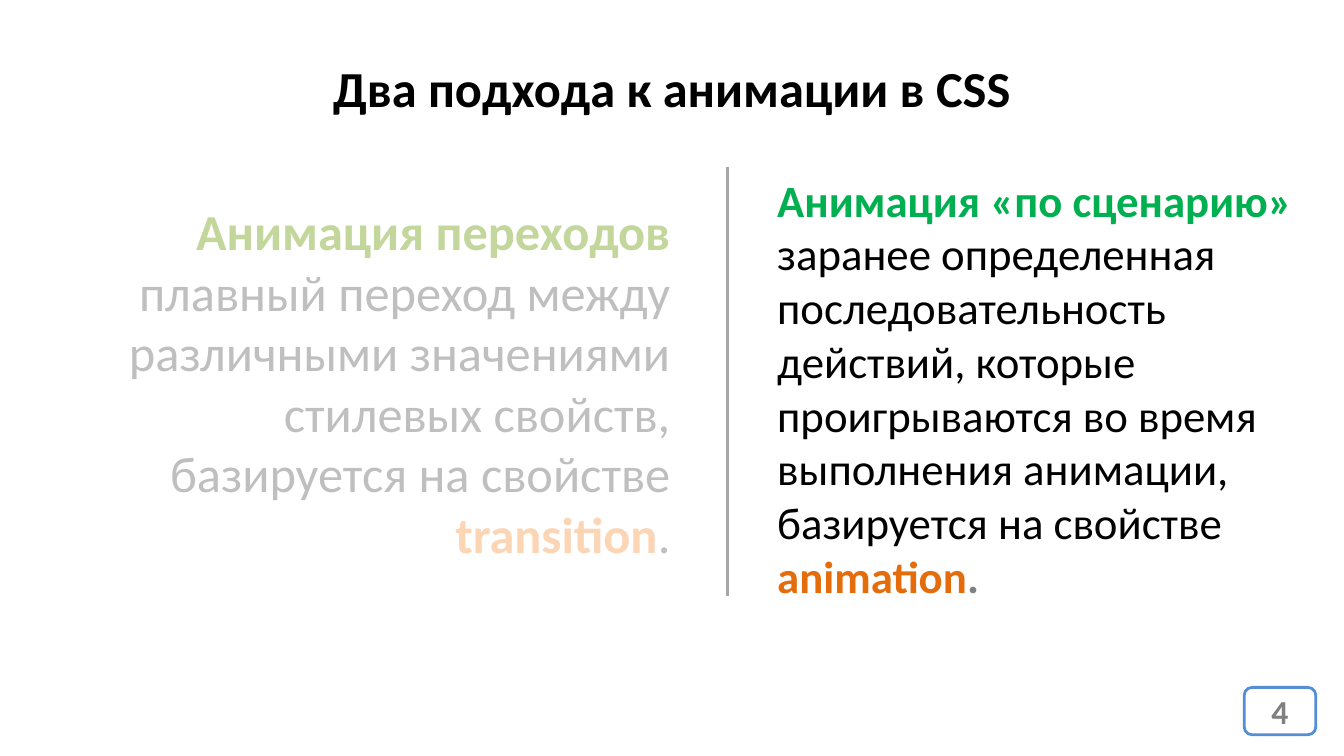
"""Build a slide that compares two approaches to CSS animation."""
from dataclasses import dataclass

from lxml import etree
from pptx import Presentation
from pptx.dml.color import RGBColor
from pptx.enum.shapes import MSO_CONNECTOR, MSO_SHAPE
from pptx.enum.text import MSO_ANCHOR, MSO_AUTO_SIZE, PP_ALIGN
from pptx.oxml.ns import qn
from pptx.util import Inches, Pt

STRAIGHT = MSO_CONNECTOR.STRAIGHT
ROUNDED = MSO_SHAPE.ROUNDED_RECTANGLE
MIDDLE = MSO_ANCHOR.MIDDLE
GROW = MSO_AUTO_SIZE.SHAPE_TO_FIT_TEXT
LEFT, CENTER, RIGHT = PP_ALIGN.LEFT, PP_ALIGN.CENTER, PP_ALIGN.RIGHT
WIDTH, HEIGHT = Inches(13.33), Inches(7.5)


@dataclass(frozen=True)
class Theme:
    """Hold the colours and type sizes of the slide."""
    font: str = "Calibri"
    paper: str = "FFFFFF"
    ink: str = "000000"
    gray: str = "808080"
    green: str = "00B050"
    orange: str = "E46C0A"
    faded_ink: str = "BFBFBF"
    faded_green: str = "C3D69B"
    faded_orange: str = "FCD5B5"
    divider: str = "A6A6A6"
    badge_border: str = "558ED5"
    large: int = 36
    medium: int = 32
    small: int = 24


THEME = Theme()


def across(percent):
    """Turn a percentage of the slide's width into a length."""
    return round(WIDTH * percent / 100)


def down(percent):
    """Turn a percentage of the slide's height into a length."""
    return round(HEIGHT * percent / 100)


def place(left, top, width, height):
    """Turn percentages of the slide into a position and a size."""
    return across(left), down(top), across(width), down(height)


def write(frame, runs, size, align):
    """Write one paragraph of (text, colour, bold) runs."""
    paragraph = frame.paragraphs[0]
    paragraph.alignment = align
    for text, color, bold in runs:
        run = paragraph.add_run()
        run.text = text
        run.font.color.rgb = RGBColor.from_string(color)
        formats = {"name": THEME.font, "size": Pt(size), "bold": bold}
        for name, value in formats.items():
            setattr(run.font, name, value)


def add_text(slide, area, runs, size, align):
    """Add a wrapping text box that grows with its text."""
    frame = slide.shapes.add_textbox(*place(*area)).text_frame
    for name, value in {"word_wrap": True, "auto_size": GROW}.items():
        setattr(frame, name, value)
    write(frame, runs, size, align)


def add_badge(slide, area, number):
    """Add the rounded page number badge."""
    badge = slide.shapes.add_shape(ROUNDED, *place(*area))
    badge.shadow.inherit = False
    badge.fill.solid()
    badge.fill.fore_color.rgb = RGBColor.from_string(THEME.paper)
    badge.line.color.rgb = RGBColor.from_string(THEME.badge_border)
    badge.line.width = Pt(2)
    badge.text_frame.vertical_anchor = MIDDLE
    write(badge.text_frame, [(number, THEME.gray, True)], THEME.small, CENTER)


def add_divider(slide, left, top, bottom):
    """Add the vertical line between the two approaches."""
    divider = slide.shapes.add_connector(
        STRAIGHT, across(left), down(top), across(left), down(bottom))
    divider.line.color.rgb = RGBColor.from_string(THEME.divider)
    divider.line.width = Pt(2.25)
    etree.SubElement(divider._element.spPr, qn("a:effectLst"))


def main():
    """Build and save the slide."""
    deck = Presentation()
    deck.slide_width, deck.slide_height = WIDTH, HEIGHT
    slide = deck.slides.add_slide(deck.slide_layouts[6])

    title = [("Два подхода к анимации в CSS", THEME.ink, True)]
    scripted = [
        ("Анимация «по сценарию» ", THEME.green, True),
        ("заранее определенная последовательность действий, которые "
         "проигрываются во время выполнения анимации, базируется на "
         "свойстве ", THEME.ink, False),
        ("animation", THEME.orange, True),
        (".", THEME.gray, True),
    ]
    transitions = [
        ("Анимация переходов ", THEME.faded_green, True),
        ("плавный переход между различными значениями стилевых свойств, "
         "базируется на свойстве ", THEME.faded_ink, False),
        ("transition", THEME.faded_orange, True),
        (".", THEME.faded_ink, False),
    ]

    add_badge(slide, (92.57, 90.93, 5.33, 6.27), "4")
    add_text(slide, (0, 6.93, 100, 9.47), title, THEME.large, CENTER)
    add_text(slide, (57.09, 22.13, 40.74, 58.8), scripted, THEME.medium, LEFT)
    add_text(slide, (5.63, 25.87, 45, 49.87), transitions, THEME.large, RIGHT)
    add_divider(slide, 54.16, 22.13, 78.8)
    deck.save("out.pptx")


if __name__ == "__main__":
    main()
